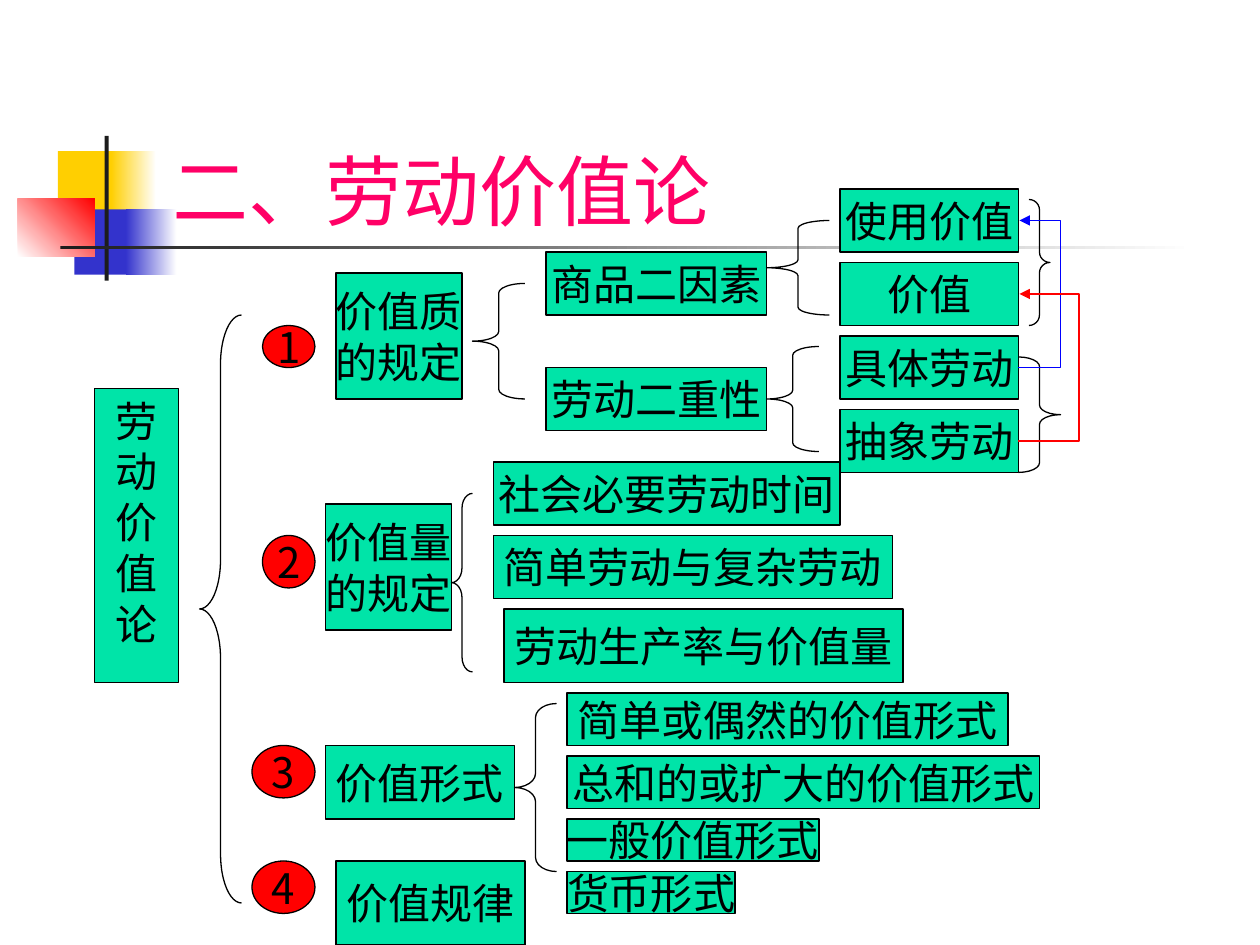
from lxml import etree
from pptx import Presentation
from pptx import util as u
from pptx.dml.color import RGBColor
from pptx.enum import shapes, text
from pptx.oxml.ns import qn

THEME = {
    "font": "Noto Sans CJK SC", "title": 44, "body": 24, "lead": 29, "line": 0.75,
    "pink": "FF0066", "green": "00E4A8", "red": "FF0000", "blue": "0000FF",
    "ink": "000000", "dark": "1C1C1C", "gold": "FFCF01", "navy": "3333CC", "white": "FFFFFF",
}
GRID = 2.54 / 12  # cm; the diagram sits on a grid of twelfths of an inch
KIND = shapes.MSO_SHAPE


def hue(name):
    return RGBColor.from_string(THEME[name])


def write(frame, words, size, tone, align, form):
    """Fill a text frame and format the frame and its runs."""
    frame.text = words
    for key, val in form.items():
        setattr(frame, key, val)
    for para in frame.paragraphs:
        para.alignment = align
        if len(frame.paragraphs) > 1:
            para.line_spacing = u.Pt(THEME["lead"])
        for run in para.runs:
            run.font.color.rgb = hue(tone)
            for key, val in {"size": u.Pt(THEME[size]), "name": THEME["font"]}.items():
                setattr(run.font, key, val)
            etree.SubElement(run.font._element, qn("a:ea"), typeface=THEME["font"])


deck = Presentation()
deck.slide_width, deck.slide_height = u.Cm(25.4), u.Cm(19.05)
slide = deck.slides.add_slide(deck.slide_layouts[5])
tree = slide.shapes

# Corner ornament: place in cm, start colour, end colour, angle
for place, start, end, angle in [
    ((1.17, 3.05, 1.22, 1.32), "gold", None, 0),
    ((2.24, 3.05, 0.91, 1.32), "gold", "white", 0),
    ((1.5, 4.22, 1.17, 1.32), "navy", None, 0),
    ((2.54, 4.22, 1.02, 1.32), "navy", "white", 0),
    ((0.36, 4.01, 1.55, 1.17), "white", "red", 45),
    ((2.11, 2.74, 0.08, 2.92), "dark", None, 0),
    ((1.22, 4.95, 22.86, 0.08), "dark", "white", 0),
]:
    block = tree.add_shape(KIND.RECTANGLE, *map(u.Cm, place))
    block.shadow.inherit = False
    block.line.fill.background()
    if end:
        block.fill.gradient()
        block.fill.gradient_angle = angle
        for stop, tone in zip(block.fill.gradient_stops, (start, end)):
            stop.color.rgb = hue(tone)
    else:
        block.fill.solid()
        block.fill.fore_color.rgb = hue(start)

# Title
title = tree.title
for key, val in {"left": 3.2, "top": 1.7, "width": 21.64, "height": 3.18}.items():
    setattr(title, key, u.Cm(val))
write(title.text_frame, "二、劳动价值论", "title", "pink", text.PP_ALIGN.LEFT,
      {"vertical_anchor": text.MSO_ANCHOR.BOTTOM, "auto_size": text.MSO_AUTO_SIZE.NONE})

# Boxes and number marks, in grid steps
boxes = [
    ("劳\n动\n价\n值\n论", 9, 37, 8, 28),
    ("价值质\n的规定", 32, 26, 12, 12),
    ("价值量\n的规定", 31, 48, 12, 12),
    ("价值形式", 31, 71, 18, 7),
    ("价值规律", 32, 82, 18, 8),
    ("商品二因素", 52, 24, 21, 6),
    ("劳动二重性", 52, 35, 21, 6),
    ("社会必要劳动时间", 47, 44, 33, 6),
    ("简单劳动与复杂劳动", 47, 51, 38, 6),
    ("劳动生产率与价值量", 48, 58, 38, 7),
    ("简单或偶然的价值形式", 54, 66, 42, 5),
    ("总和的或扩大的价值形式", 54, 72, 45, 5),
    ("一般价值形式", 54, 78, 24, 4),
    ("货币形式", 54, 83, 16, 4),
]
for row, words in enumerate(["使用价值", "价值", "具体劳动", "抽象劳动"]):
    boxes.append((words, 80, 18 + 7 * row, 17, 6))
marks = [("1", 25, 31, 5, 4), ("2", 25, 51, 5, 5), ("3", 24, 71, 6, 5), ("4", 24, 82, 6, 5)]

for kind, tone, group in [(KIND.RECTANGLE, "green", boxes), (KIND.OVAL, "red", marks)]:
    for words, *place in group:
        node = tree.add_shape(kind, *(u.Cm(n * GRID) for n in place))
        node.shadow.inherit = False
        node.fill.solid()
        node.fill.fore_color.rgb = hue(tone)
        node.line.color.rgb = hue("ink")
        node.line.width = u.Pt(THEME["line"])
        tall = words is boxes[0][0]
        write(node.text_frame, words, "body", "ink", text.PP_ALIGN.CENTER, {
            "word_wrap": tall,
            "vertical_anchor": text.MSO_ANCHOR.TOP if tall else text.MSO_ANCHOR.MIDDLE,
        })

# Braces; each curve is a twelfth of the height
for kind, *place in [
    (KIND.LEFT_BRACE, 19, 30, 4, 56),
    (KIND.LEFT_BRACE, 45, 27, 5, 11),
    (KIND.LEFT_BRACE, 73, 21, 6, 9),
    (KIND.LEFT_BRACE, 73, 33, 5, 10),
    (KIND.LEFT_BRACE, 43, 47, 2, 17),
    (KIND.LEFT_BRACE, 49, 67, 4, 16),
    (KIND.RIGHT_BRACE, 98, 19, 2, 12),
    (KIND.RIGHT_BRACE, 97, 34, 4, 11),
]:
    brace = tree.add_shape(kind, *(u.Cm(n * GRID) for n in place))
    brace.shadow.inherit = False
    brace.fill.background()
    brace.line.color.rgb = hue("ink")
    brace.line.width = u.Pt(THEME["line"])
    brace.adjustments[0] = place[3] / 12 / place[2]

# Elbow arrows from labour to value: colour, start row, end row, reach to the right
SIDE, STEP = 97 * GRID, 0.02
for tone, start, end, reach in [("blue", 35, 21, 0.85), ("red", 42, 28, 1.22)]:
    arrow = tree.add_connector(shapes.MSO_CONNECTOR.ELBOW, u.Cm(SIDE), u.Cm(start * GRID),
                               u.Cm(SIDE + STEP), u.Cm(end * GRID))
    arrow.line.color.rgb = hue(tone)
    arrow.line.width = u.Pt(THEME["line"])
    props = arrow._element.spPr
    bend = props.find(qn("a:prstGeom")).get_or_add_avLst()
    etree.SubElement(bend, qn("a:gd"), name="adj1", fmla=f"val {round(reach / STEP * 100000)}")
    etree.SubElement(props.find(qn("a:ln")), qn("a:tailEnd"), type="triangle")
    etree.SubElement(props, qn("a:effectLst"))

deck.save("out.pptx")
